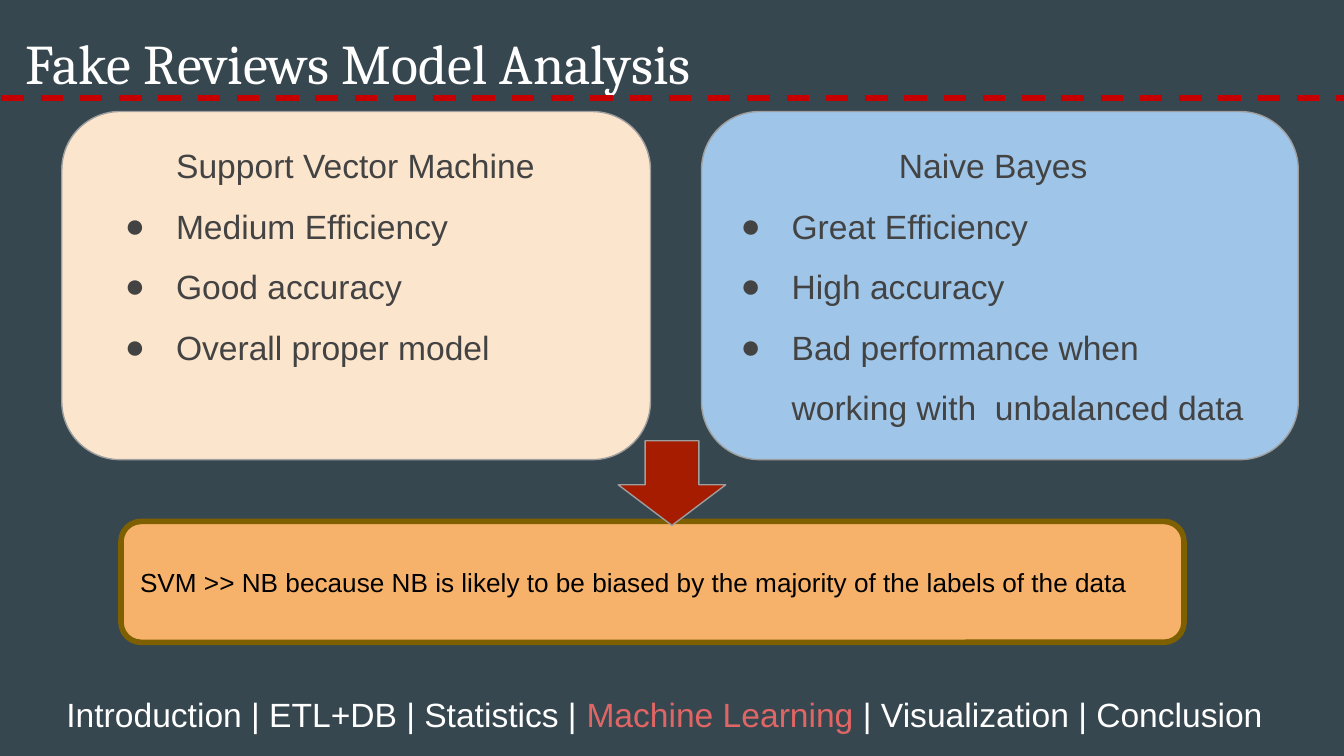
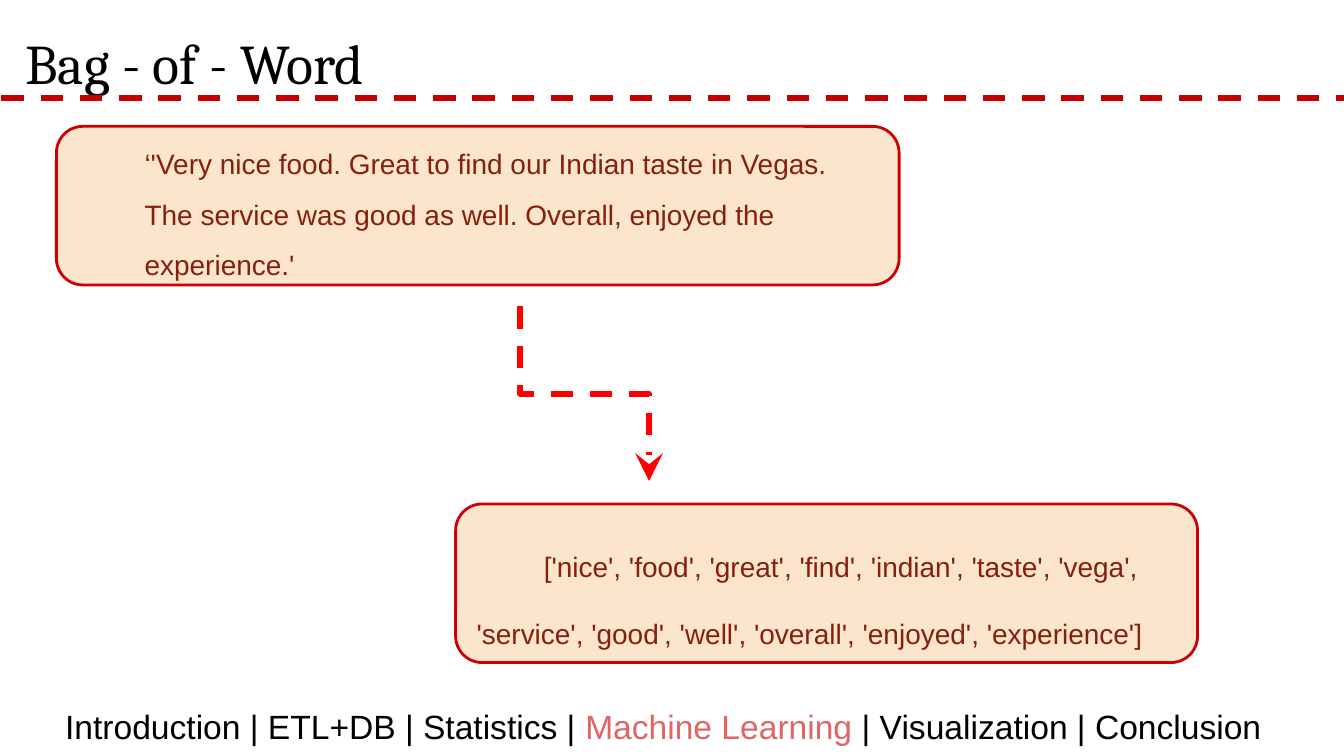
from pptx import Presentation
from pptx.dml.color import RGBColor
from pptx.enum.dml import MSO_LINE
from pptx.enum.shapes import MSO_CONNECTOR, MSO_SHAPE
from pptx.enum.text import MSO_ANCHOR, MSO_AUTO_SIZE, PP_ALIGN
from pptx.oxml.ns import qn
from pptx.util import Pt
from lxml.etree import SubElement

SCALE = 9144  # EMU in one px, 100 px to the inch
WHITE, BLACK, SLATE = "FFFFFF", "000000", "37474F"
CREAM, GRAY, INK = "FCE5CD", "9E9E9E", "434343"
RULE, RED, BROWN, CORAL = "C60000", "CC0000", "85200C", "E06666"
TOPIC = "Machine Learning"
STEPS = ["Introduction | ETL+DB | Statistics | ", TOPIC,
         " | Visualization | Conclusion"]


def px(*nums):
    return [n * SCALE for n in nums]


def rgb(code):
    return RGBColor.from_string(code)


def style(run, size, color, face="Arial"):
    run.font.size = Pt(size)
    run.font.name = face
    run.font.color.rgb = rgb(color)


def place(shape, box):
    shape.left, shape.top, shape.width, shape.height = px(*box)


def frame(shape, anchor):
    text = shape.text_frame
    text.word_wrap = True
    text.auto_size = MSO_AUTO_SIZE.NONE
    text.vertical_anchor = anchor
    text.margin_left, text.margin_right, text.margin_top, text.margin_bottom = px(10, 10, 10, 10)
    return text


def space(para, gap, left=0, first=0):
    """Set line spacing and indents."""
    para.line_spacing = gap
    para.space_before = Pt(0)
    props = para._p.get_or_add_pPr()
    left, first = px(left, first)
    props.set("marL", str(left))
    props.set("indent", str(first))
    return props


def block(slide, kind, box, fill, edge, width):
    shape = slide.shapes.add_shape(kind, *px(*box))
    shape.shadow.inherit = False
    shape.fill.solid()
    shape.fill.fore_color.rgb = rgb(fill)
    shape.line.color.rgb = rgb(edge)
    shape.line.width = Pt(width)
    return shape


def note(slide, box, words, fill, edge, width, size, color, gap=1.0, left=0, first=0):
    """Rounded box with one paragraph inside."""
    shape = block(slide, MSO_SHAPE.ROUNDED_RECTANGLE, box, fill, edge, width)
    para = frame(shape, MSO_ANCHOR.MIDDLE).paragraphs[0]
    para.text = words
    para.alignment = PP_ALIGN.LEFT
    space(para, gap, left, first)
    style(para.runs[0], size, color)


def dash(slide, kind, ends, color):
    line = slide.shapes.add_connector(kind, *px(*ends))
    line.line.color.rgb = rgb(color)
    line.line.width = Pt(3)
    line.line.dash_style = MSO_LINE.DASH
    SubElement(line._element.spPr, qn("a:effectLst"))
    return line


def base(deck, layout, back, ink, title, wide, foot):
    """Slide with background, rule, title and footer."""
    slide = deck.slides.add_slide(deck.slide_layouts[layout])
    slide.background.fill.solid()
    slide.background.fill.fore_color.rgb = rgb(back)
    dash(slide, MSO_CONNECTOR.STRAIGHT, (1, 73, 1001, 73), RULE)
    # Title
    head = slide.shapes.title
    place(head, (9, 11, wide, 63))
    para = frame(head, MSO_ANCHOR.TOP).paragraphs[0]
    para.text = title
    para.alignment = PP_ALIGN.LEFT
    style(para.runs[0], 30, ink, "Cambria")
    # Footer with the current step marked
    text = frame(slide.shapes.add_textbox(*px(*foot)), MSO_ANCHOR.MIDDLE)
    para = text.paragraphs[0]
    para.alignment = PP_ALIGN.CENTER
    for step in STEPS:
        run = para.add_run()
        run.text = step
        style(run, 18, CORAL if step == TOPIC else ink)
    return slide


def bullet(props):
    color = SubElement(props, qn("a:buClr"))
    SubElement(color, qn("a:srgbClr")).set("val", INK)
    SubElement(props, qn("a:buFont")).set("typeface", "Arial")
    SubElement(props, qn("a:buChar")).set("char", "●")


def card(slide, body, box, inset, fill, lines):
    """Rounded card under a body list; inset is left, width, height."""
    block(slide, MSO_SHAPE.ROUNDED_RECTANGLE, box, fill, GRAY, 0.75)
    slide.shapes._spTree.append(body._element)  # list in front of its card
    left, wide, high = inset
    place(body, (box[0] + left, box[1], wide, high))
    text = frame(body, MSO_ANCHOR.TOP)
    text.text = "\n".join(lines)
    for i, para in enumerate(text.paragraphs):
        if i:
            bullet(space(para, 1.5, 50, -38))
        else:
            para.alignment = PP_ALIGN.CENTER
            SubElement(space(para, 1.5), qn("a:buNone"))
        style(para.runs[0], 18, INK)


def models(deck):
    slide = base(deck, 3, SLATE, WHITE, "Fake Reviews Model Analysis",
                 751, (31, 517, 927, 29))
    svm, bayes = list(slide.placeholders)[1:3]
    # Two models side by side
    card(slide, bayes, (522, 83, 444, 259), (7, 420, 237), "9FC5E8",
         ["Naive Bayes", "Great Efficiency", "High accuracy",
          "Bad performance when working with  unbalanced data"])
    card(slide, svm, (46, 83, 438, 259), (25, 387, 244), CREAM,
         ["Support Vector Machine", "Medium Efficiency", "Good accuracy",
          "Overall proper model"])
    # Verdict and arrow
    note(slide, (90, 388, 791, 90),
         "SVM >> NB because NB is likely to be biased by the majority of the labels of the data",
         "F6B26B", "7F6000", 3, 14, BLACK)
    arrow = block(slide, MSO_SHAPE.DOWN_ARROW, (460, 328, 80, 63), "A61C00", GRAY, 0.75)
    arrow.adjustments[1] = 0.48


def words(deck):
    slide = base(deck, 5, WHITE, BLACK, "Bag - of - Word", 497, (9, 519, 969, 43))
    look = (CREAM, RED, 1.5, 15, BROWN)
    # Review and its tokens
    note(slide, (42, 94, 627, 118),
         "‘'Very nice food. Great to find our Indian taste in Vegas. "
         "The service was good as well. Overall, enjoyed the experience.'",
         *look, gap=1.5, left=50)
    note(slide, (339, 375, 552, 118),
         "['nice', 'food', 'great', 'find', 'indian', 'taste', 'vega', "
         "'service', 'good', 'well', 'overall', 'enjoyed', 'experience']",
         *look, gap=2.0, first=50)
    # Bent arrow, turned so that it leaves downwards
    link = dash(slide, MSO_CONNECTOR.ELBOW, (500, 245, 370, 341), "FF0000")
    link._element.spPr.find(qn("a:xfrm")).set("rot", str(270 * 60000))
    tip = SubElement(link.line._get_or_add_ln(), qn("a:tailEnd"))
    for key, val in (("type", "stealth"), ("w", "lg"), ("len", "lg")):
        tip.set(key, val)


def main():
    deck = Presentation()
    deck.slide_width = 1000 * SCALE
    deck.slide_height = deck.slide_width * 9 // 16
    models(deck)
    words(deck)
    deck.save("out.pptx")


if __name__ == "__main__":
    main()
